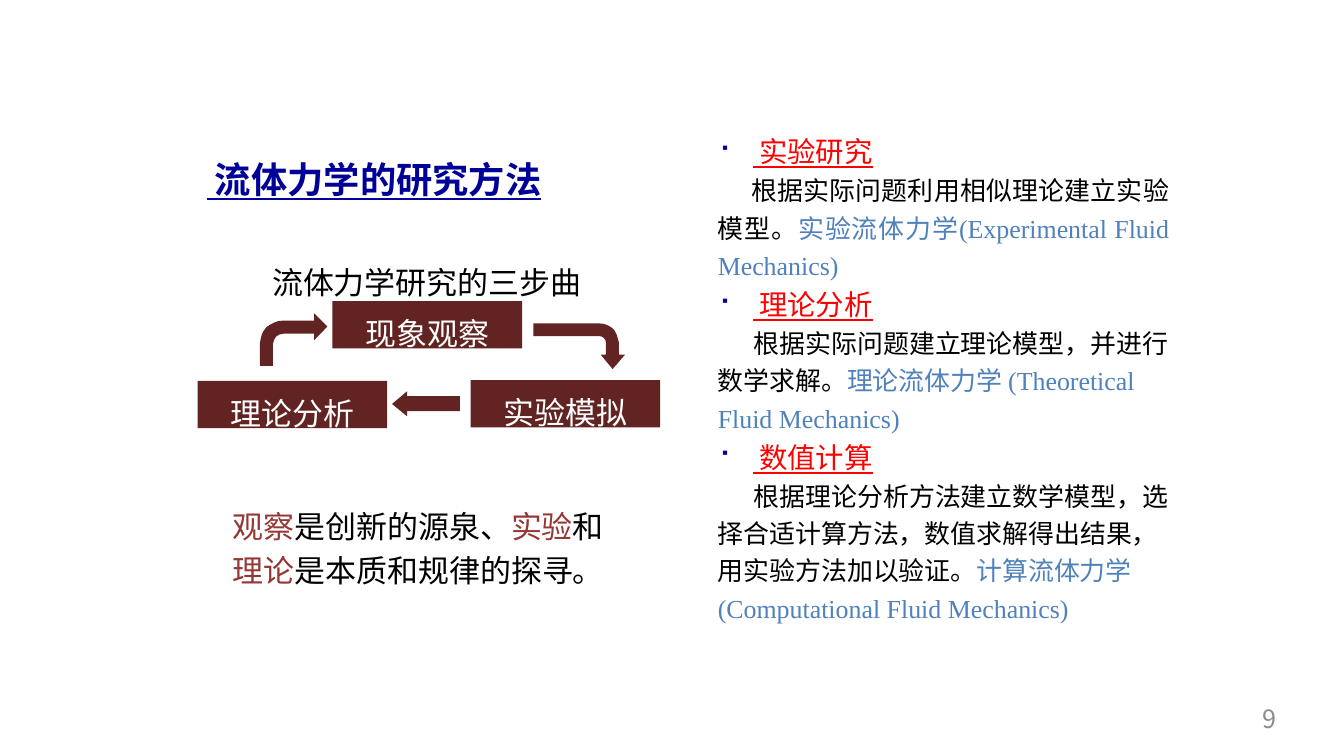
from lxml import etree
from pptx import Presentation
from pptx.dml.color import RGBColor
from pptx.enum.shapes import MSO_SHAPE
from pptx.enum.text import MSO_ANCHOR, MSO_AUTO_SIZE, PP_ALIGN
from pptx.oxml.ns import qn
from pptx.util import Cm, Pt

RECT = MSO_SHAPE.RECTANGLE
TOP, NO_FIT = MSO_ANCHOR.TOP, MSO_AUTO_SIZE.NONE
LEFT, RIGHT, JUSTIFY = PP_ALIGN.LEFT, PP_ALIGN.RIGHT, PP_ALIGN.JUSTIFY

NAVY = RGBColor(0x00, 0x00, 0x99)
MAROON = RGBColor(0x62, 0x24, 0x22)
BRICK = RGBColor(0x94, 0x37, 0x35)
RED = RGBColor(0xFF, 0x00, 0x00)
BLUE = RGBColor(0x4F, 0x81, 0xBC)
BLACK = RGBColor(0x00, 0x00, 0x00)
WHITE = RGBColor(0xFF, 0xFF, 0xFF)
GREY = RGBColor(0x8C, 0x8C, 0x8C)
LATIN, CJK, SYMBOL = "Times New Roman", "Noto Sans CJK SC", "Wingdings"

# Content: lengths in cm, text as (wording, colour) runs
TITLE = [(" 流体力学的研究方法", NAVY)]
CAPTION = [("流体力学研究的三步曲", BLACK)]
STEPS = [("现象观察", 8.38, 7.59), ("理论分析", 4.98, 9.6), ("实验模拟", 11.86, 9.58)]
STEP_SIZE = (4.78, 1.19)
SUMMARY = [("观察", BRICK), ("是创新的源泉、", BLACK), ("实验", BRICK), ("和", BLACK),
           ("理论", BRICK), ("是本质和规律的探寻。", BLACK)]
METHODS = [
    ("实验研究", "根据实际问题利用相似理论建立实验模型。",
     "实验流体力学(Experimental Fluid Mechanics)", JUSTIFY, 0.84),
    ("理论分析", "根据实际问题建立理论模型，并进行数学求解。",
     "理论流体力学 (Theoretical Fluid Mechanics)", LEFT, 0.91),
    ("数值计算", "根据理论分析方法建立数学模型，选择合适计算方法，数值求解得出结果，用实验方法加以验证。",
     "计算流体力学 (Computational Fluid Mechanics)", LEFT, 0.91),
]
ARROWS = [
    # theory to observation
    [(7.92, 7.9), (7.92, 8.08), (7.14, 8.08), (7.02, 8.09), (6.91, 8.13), (6.81, 8.18),
     (6.72, 8.24), (6.65, 8.33), (6.6, 8.43), (6.57, 8.54), (6.55, 8.66), (6.55, 9.22),
     (6.88, 9.22), (6.88, 8.66), (6.91, 8.56), (6.96, 8.48), (7.04, 8.43), (7.14, 8.41),
     (7.92, 8.41), (7.92, 8.57), (8.25, 8.23)],
    # observation to experiment
    [(13.44, 8.15), (13.44, 8.47), (15.09, 8.47), (15.16, 8.48), (15.22, 8.52),
     (15.26, 8.58), (15.27, 8.64), (15.27, 8.94), (15.14, 8.94), (15.44, 9.3),
     (15.75, 8.94), (15.6, 8.94), (15.6, 8.64), (15.57, 8.53), (15.54, 8.43),
     (15.49, 8.33), (15.42, 8.26), (15.32, 8.2), (15.21, 8.16), (15.09, 8.15)],
    # experiment to theory
    [(10.26, 9.86), (9.88, 10.18), (10.26, 10.49), (10.26, 10.36), (11.59, 10.36),
     (11.59, 9.98), (10.26, 9.98)],
]


def add_text(tf, runs, size=22.1, bold=False, underline=False, align=LEFT, margin=0,
             indent=0, before=0, spacing=1.2, bullet=None, font=LATIN):
    """Fill the first empty paragraph of tf, or append a new one."""
    p = tf.paragraphs[0]
    if p.runs:
        p = tf.add_paragraph()
    p.alignment = align
    p.line_spacing = spacing
    if before:
        p.space_before = Pt(before)
    pPr = p._p.get_or_add_pPr()
    pPr.set("marL", str(Cm(margin)))
    pPr.set("indent", str(Cm(indent)))
    if bullet:
        clr = etree.SubElement(pPr, qn("a:buClr"))
        etree.SubElement(clr, qn("a:srgbClr"), val=str(NAVY))
        etree.SubElement(pPr, qn("a:buFont"), typeface=SYMBOL)
        etree.SubElement(pPr, qn("a:buChar"), char=bullet)
    for text, color in runs:
        r = p.add_run()
        r.text = text
        r.font.size = Pt(size)
        r.font.bold = bold
        r.font.underline = underline
        r.font.color.rgb = color
        r.font.name = font
        etree.SubElement(r._r.get_or_add_rPr(), qn("a:ea"), typeface=CJK)


def set_frame(sp, inset):
    tf = sp.text_frame
    tf.word_wrap = True
    tf.auto_size = NO_FIT
    tf.vertical_anchor = TOP
    tf.margin_left = tf.margin_right = tf.margin_bottom = 0
    tf.margin_top = Cm(inset)
    return tf


def add_box(slide, x, y, w, h, inset=0.03):
    return set_frame(slide.shapes.add_textbox(Cm(x), Cm(y), Cm(w), Cm(h)), inset)


def paint(sp):
    sp.shadow.inherit = False
    sp.fill.solid()
    sp.fill.fore_color.rgb = MAROON
    sp.line.fill.background()


def main():
    prs = Presentation()
    prs.slide_width, prs.slide_height = Cm(33.87), Cm(19.05)
    slide = prs.slides.add_slide(prs.slide_layouts[6])

    # Title and diagram caption
    tf = add_box(slide, 5.18, 3.71, 9.53, 3.84)
    add_text(tf, TITLE, size=25.9, bold=True, underline=True, margin=0.03)
    add_text(tf, CAPTION, margin=1.68, before=40)

    # Cycle of three steps
    for name, x, y in STEPS:
        sp = slide.shapes.add_shape(RECT, Cm(x), Cm(y), *map(Cm, STEP_SIZE))
        paint(sp)
        add_text(set_frame(sp, 0.15), [(name, WHITE)], margin=0.84)
    for points in ARROWS:
        corners = [(Cm(x), Cm(y)) for x, y in points]
        outline = slide.shapes.build_freeform(*corners[0])
        outline.add_line_segments(corners[1:], close=True)
        paint(outline.convert_to_shape())

    # Summary
    add_text(add_box(slide, 5.84, 12.57, 9.45, 2.21), SUMMARY, margin=0.03)

    # Research methods
    tf = add_box(slide, 18.06, 2.84, 11.4, 12.85, inset=0.38)
    for name, body, field, align, indent in METHODS:
        add_text(tf, [(" " + name, RED)], size=20.3, underline=True,
                 margin=0.91, indent=-0.86, bullet="■")
        add_text(tf, [(body, BLACK), (field, BLUE)], size=18.5, align=align,
                 margin=0.03, indent=indent)

    # Page number
    add_text(add_box(slide, 24.38, 17.73, 7.8, 0.76, inset=0), [("9", GREY)],
             size=18, align=RIGHT, spacing=1.0, font=CJK)

    prs.save("out.pptx")


if __name__ == "__main__":
    main()
